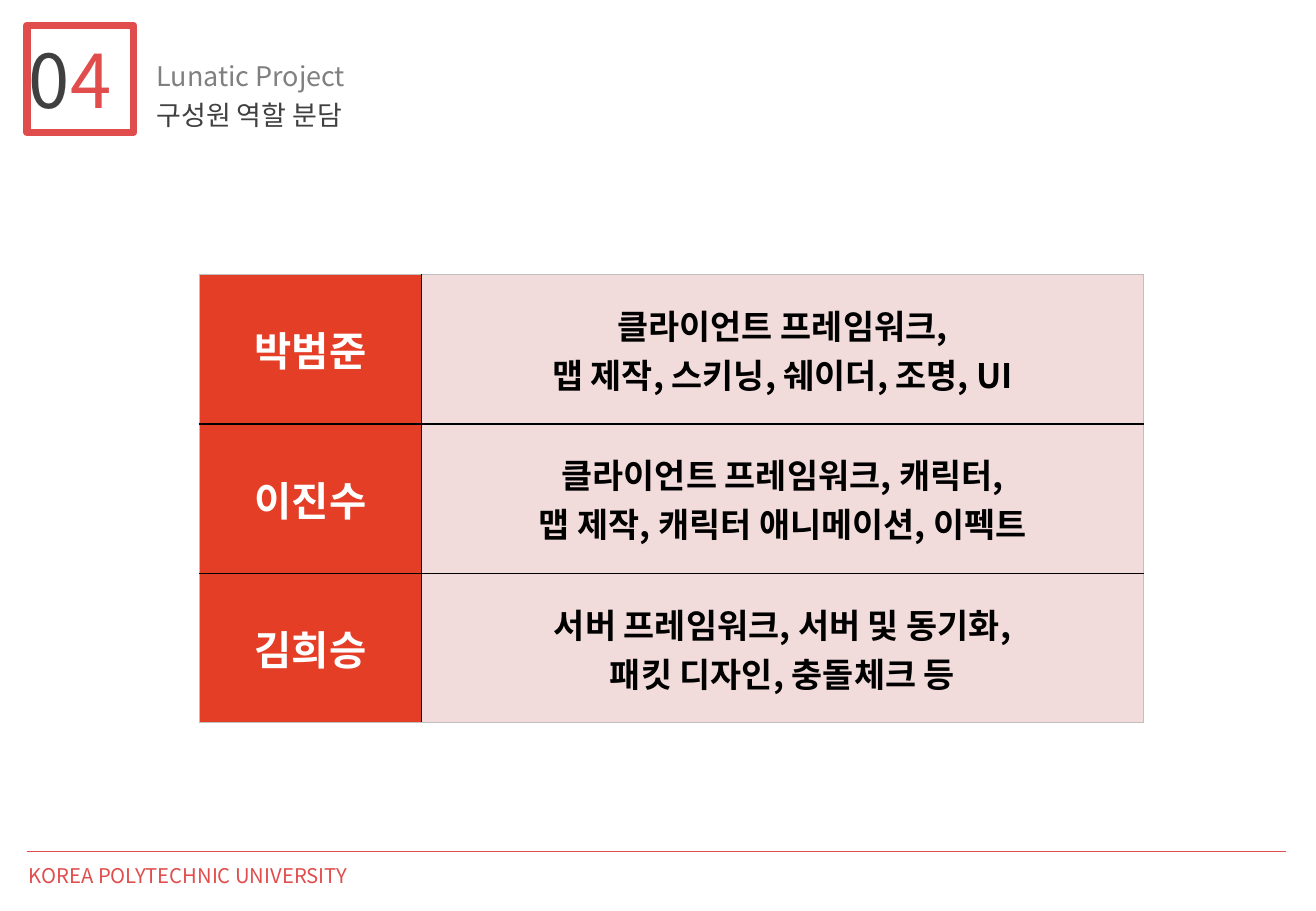
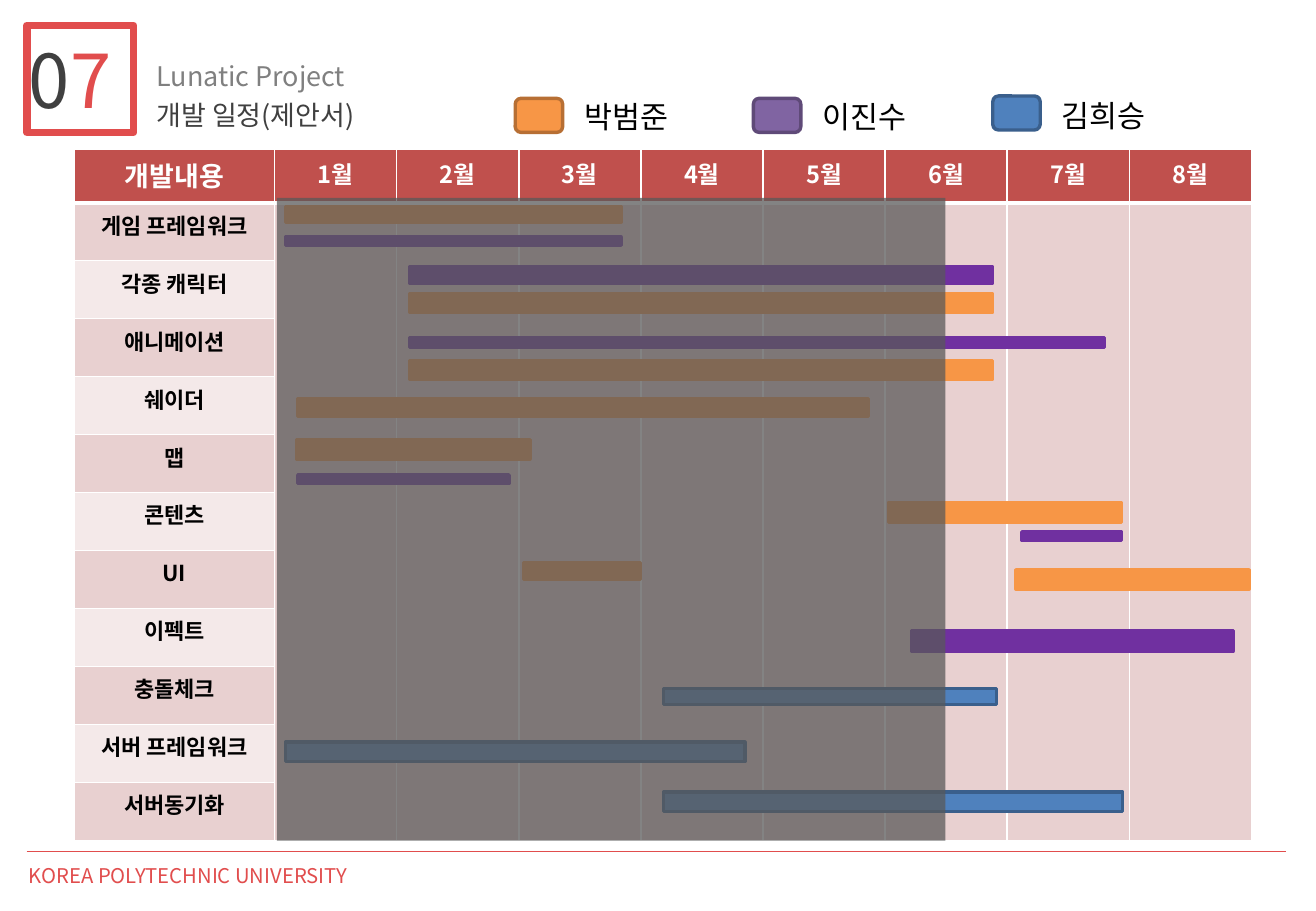
import pptx
import pptx.dml.color
import pptx.enum.shapes
import pptx.enum.text
import pptx.oxml.ns
import pptx.util
from lxml import etree
from pptx.dml.color import RGBColor
from pptx.enum.shapes import MSO_CONNECTOR, MSO_SHAPE
from pptx.enum.text import MSO_ANCHOR, MSO_AUTO_SIZE, PP_ALIGN
from pptx.oxml.ns import qn
from pptx.util import Inches, Pt

FONT = "Noto Sans CJK KR"
CORAL = RGBColor(0xE1, 0x4D, 0x4D)
CHARCOAL = RGBColor(0x40, 0x40, 0x40)
GRAY = RGBColor(0x80, 0x80, 0x80)
BLACK = RGBColor(0x00, 0x00, 0x00)
WHITE = RGBColor(0xFF, 0xFF, 0xFF)
SILVER = RGBColor(0xBF, 0xBF, 0xBF)
NAME_RED = RGBColor(0xE5, 0x3E, 0x27)
ROLE_PINK = RGBColor(0xF2, 0xDC, 0xDB)
HEADER_RED = RGBColor(0xC0, 0x50, 0x4D)
BAND_DARK = RGBColor(0xE8, 0xD0, 0xD0)
BAND_LIGHT = RGBColor(0xF4, 0xE9, 0xE9)
ORANGE = RGBColor(0xF7, 0x96, 0x46)
ORANGE_EDGE = RGBColor(0xB7, 0x6F, 0x34)
LILAC = RGBColor(0x80, 0x64, 0xA2)
LILAC_EDGE = RGBColor(0x5F, 0x4A, 0x78)
PURPLE = RGBColor(0x70, 0x30, 0xA0)
BLUE = RGBColor(0x4F, 0x81, 0xBD)
BLUE_EDGE = RGBColor(0x3A, 0x5F, 0x8C)
SHADE = RGBColor(0x59, 0x59, 0x59)

ROLES = [
    ("박범준", "클라이언트 프레임워크,\n맵 제작, 스키닝, 쉐이더, 조명, UI"),
    ("이진수", "클라이언트 프레임워크, 캐릭터,\n맵 제작, 캐릭터 애니메이션, 이펙트"),
    ("김희승", "서버 프레임워크, 서버 및 동기화,\n패킷 디자인, 충돌체크 등"),
]
TASKS = ["게임 프레임워크", "각종 캐릭터", "애니메이션", "쉐이더", "맵", "콘텐츠",
         "UI", "이펙트", "충돌체크", "서버 프레임워크", "서버동기화"]
LEGEND = [
    ("박범준", 4.24, 0.81, 0.76, ORANGE, ORANGE_EDGE),
    ("이진수", 6.2, 0.81, 0.76, LILAC, LILAC_EDGE),
    ("김희승", 8.17, 0.79, 0.75, BLUE, BLUE_EDGE),
]
BARS = [
    (BLUE, BLUE_EDGE, [
        (2.35, 6.11, 3.78, 0.16), (5.46, 6.52, 3.78, 0.16), (5.46, 5.67, 2.74, 0.13)]),
    (PURPLE, PURPLE, [
        (2.35, 1.95, 2.76, 0.07), (3.37, 2.2, 4.8, 0.13), (3.37, 2.78, 5.72, 0.08),
        (7.5, 5.19, 2.65, 0.17), (2.45, 3.91, 1.74, 0.07), (8.41, 4.38, 0.82, 0.07)]),
    (ORANGE, ORANGE, [
        (4.31, 4.63, 0.96, 0.14), (7.31, 4.14, 1.92, 0.16), (2.44, 3.62, 1.92, 0.16),
        (2.45, 3.28, 4.7, 0.15), (8.36, 4.69, 1.92, 0.16), (3.37, 2.42, 4.8, 0.15),
        (3.37, 2.97, 4.8, 0.15), (2.35, 1.7, 2.76, 0.13)]),
]


def style_span(span, size, color, bold=False):
    span.font.size = Pt(size)
    span.font.bold = bold
    span.font.color.rgb = color
    span.font.name = FONT
    east_asian = etree.SubElement(span.font._element, qn("a:ea"))
    east_asian.set("typeface", FONT)


def add_text(page, place, size, *pieces):
    box = page.shapes.add_textbox(*map(Inches, place))
    frame = box.text_frame
    frame.word_wrap = False
    frame.auto_size = MSO_AUTO_SIZE.SHAPE_TO_FIT_TEXT
    for text, color in pieces:
        span = frame.paragraphs[0].add_run()
        span.text = text
        style_span(span, size, color)


def add_block(page, kind, place, fill=None, edge=None, width=2):
    block = page.shapes.add_shape(kind, *map(Inches, place))
    block.shadow.inherit = False
    if fill is None:
        block.fill.background()
    else:
        block.fill.solid()
        block.fill.fore_color.rgb = fill
    if edge is None:
        block.line.fill.background()
    else:
        block.line.color.rgb = edge
        block.line.width = Pt(width)
    return block


def add_rule(page, left, right, top):
    rule = page.shapes.add_connector(
        MSO_CONNECTOR.STRAIGHT, Inches(left), Inches(top), Inches(right), Inches(top))
    rule.line.color.rgb = CORAL
    rule.line.width = Pt(1)
    etree.SubElement(rule._element.spPr, qn("a:effectLst"))


def add_grid(page, place, widths, heights):
    table = page.shapes.add_table(
        len(heights), len(widths), *map(Inches, place)).table
    table.first_row = False
    table.horz_banding = False
    for column, width in zip(table.columns, widths):
        column.width = Inches(width)
    for row, height in zip(table.rows, heights):
        row.height = Inches(height)
    return table


def style_cell(cell, fill, borders):
    properties = cell._tc.get_or_add_tcPr()
    for side, (color, width) in zip("LRTB", borders):
        line = etree.SubElement(properties, qn("a:ln" + side), w=str(Pt(width)))
        paint = etree.SubElement(line, qn("a:solidFill"))
        etree.SubElement(paint, qn("a:srgbClr"), val=str(color))
    cell.fill.solid()
    cell.fill.fore_color.rgb = fill


def fill_cell(cell, text, size, color):
    cell.text_frame.text = text
    for para in cell.text_frame.paragraphs:
        para.alignment = PP_ALIGN.CENTER
        for span in para.runs:
            style_span(span, size, color, True)


def add_page(deck, digit, title):
    page = deck.slides.add_slide(deck.slide_layouts[6])
    add_block(page, MSO_SHAPE.RECTANGLE, (0.22, 0.21, 0.88, 0.88), edge=CORAL, width=4.5)
    add_text(page, (0.14, 0.23, 1.02, 0.84), 44, ("0", CHARCOAL), (digit, CORAL))
    add_text(page, (1.19, 0.44, 2.07, 0.37), 16, ("Lunatic Project", GRAY))
    add_text(page, (1.19, 0.76, 2.0, 0.37), 16, (title, CHARCOAL))
    add_rule(page, 0.22, 10.58, 7.01)
    add_text(page, (0.14, 7.06, 3.7, 0.3), 12, ("KOREA POLYTECHNIC UNIVERSITY", CORAL))
    return page


def add_roles(page):
    table = add_grid(page, (1.64, 2.26, 7.77, 3.69), [1.83, 5.94], [1.23] * len(ROLES))
    outer, inner = (SILVER, 1), (BLACK, 1)
    for row, texts in enumerate(ROLES):
        top = outer if row == 0 else inner
        bottom = outer if row == len(ROLES) - 1 else inner
        styles = [(NAME_RED, 24, WHITE, outer, inner), (ROLE_PINK, 20, BLACK, inner, outer)]
        for column, (fill, size, color, left, right) in enumerate(styles):
            cell = table.cell(row, column)
            style_cell(cell, fill, [left, right, top, bottom])
            fill_cell(cell, texts[column], size, color)
            cell.vertical_anchor = MSO_ANCHOR.MIDDLE


def add_schedule(page):
    header_height, total_height = 0.44, 5.69
    task_height = (total_height - header_height) / len(TASKS)
    table = add_grid(page, (0.61, 1.23, 9.69, total_height), [1.65] + [1.005] * 8,
                     [header_height] + [task_height] * len(TASKS))
    thin, thick = (WHITE, 1), (WHITE, 3)
    headings = ["개발내용"] + [f"{month}월" for month in range(1, 9)]
    for column, heading in enumerate(headings):
        cell = table.cell(0, column)
        style_cell(cell, HEADER_RED, [thin, thin, thin, thick])
        fill_cell(cell, heading, 14 if column else 16, WHITE)
        for row in range(1, len(TASKS) + 1):
            light = column == 0 and row % 2 == 0
            style_cell(table.cell(row, column), BAND_LIGHT if light else BAND_DARK,
                       [thin, thin, thick if row == 1 else thin, thin])
        if column:
            table.cell(1, column).merge(table.cell(len(TASKS), column))
    for row, task in enumerate(TASKS, 1):
        fill_cell(table.cell(row, 0), task, 13, BLACK)


def add_legend(page):
    for name, left, top, text_top, fill, edge in LEGEND:
        add_block(page, MSO_SHAPE.ROUNDED_RECTANGLE, (left, top, 0.39, 0.28), fill, edge)
        add_text(page, (left + 0.47, text_top, 0.96, 0.4), 18, (name, BLACK))


def add_bars(page):
    for fill, edge, places in BARS:
        for place in places:
            add_block(page, MSO_SHAPE.FLOWCHART_PROCESS, place, fill, edge)


def add_elapsed_shade(page):
    shade = add_block(page, MSO_SHAPE.RECTANGLE, (2.28, 1.63, 5.5, 5.29), SHADE)
    color = shade._element.spPr.find(qn("a:solidFill")).find(qn("a:srgbClr"))
    etree.SubElement(color, qn("a:alpha"), val="74000")


def main():
    deck = pptx.Presentation()
    deck.slide_width = Inches(10.83)
    deck.slide_height = Inches(7.5)

    add_roles(add_page(deck, "4", "구성원 역할 분담"))

    schedule = add_page(deck, "7", "개발 일정(제안서)")
    add_schedule(schedule)
    add_legend(schedule)
    add_bars(schedule)
    add_elapsed_shade(schedule)

    deck.save("out.pptx")


if __name__ == "__main__":
    main()
